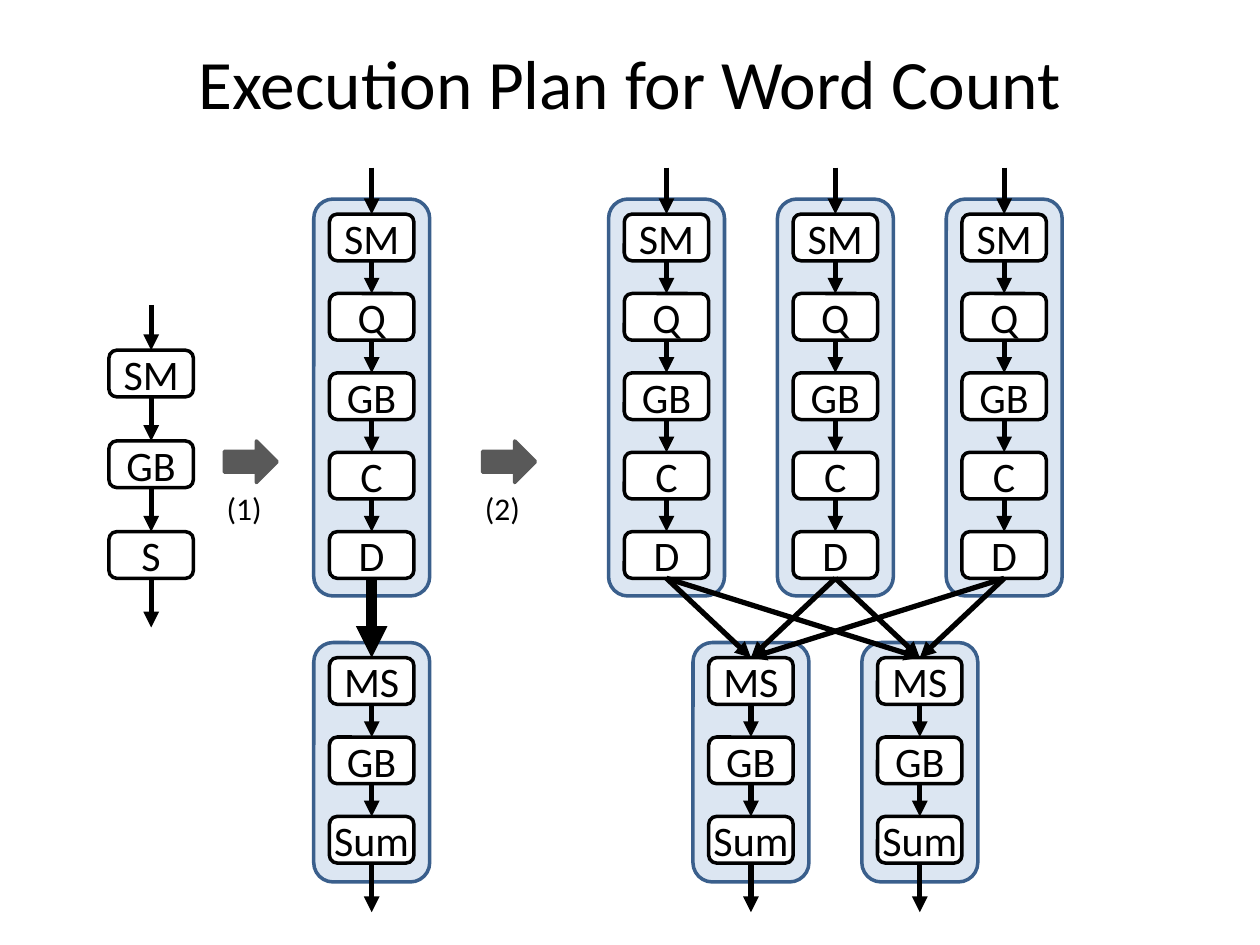
from lxml import etree
from pptx import Presentation
from pptx import util as u
from pptx.dml.color import RGBColor
from pptx.enum import shapes, text
from pptx.oxml.ns import qn

# Grid of the slide: 100 columns by 75 rows
COLUMNS, ROWS = 100, 75
BOX_WIDTH, BOX_HEIGHT = 6.7, 3.7
PANEL_WIDTH, PANEL_PADDING = 9.2, 1.2
MAP_TOP, REDUCE_TOP, PITCH = 17, 52.2, 6.3
MAP_STAGES = ["SM", "Q", "GB", "C", "D"]
REDUCE_STAGES = ["MS", "GB", "Sum"]


def color(value):
    return RGBColor.from_string(value)


class Diagram:
    """Holds the style, the presentation and the current slide."""

    font = {"name": "Calibri"}
    ink, white, panel_fill, panel_line, gray = (
        "000000", "FFFFFF", "DCE6F2", "3A5F8C", "595959")

    def __init__(self, width, height):
        self.presentation = Presentation()
        self.presentation.slide_width = u.Inches(width)
        self.presentation.slide_height = u.Inches(height)
        self.slide = self.presentation.slides.add_slide(
            self.presentation.slide_layouts[6])

    def x(self, columns):
        return round(self.presentation.slide_width * columns / COLUMNS)

    def y(self, rows):
        return round(self.presentation.slide_height * rows / ROWS)

    def area(self, left, top, width, height):
        return self.x(left), self.y(top), self.x(width), self.y(height)

    def add_words(self, shape, words, size, align, **frame_format):
        frame = shape.text_frame
        for name, value in frame_format.items():
            setattr(frame, name, value)
        paragraph = frame.paragraphs[0]
        paragraph.alignment = align
        run = paragraph.add_run()
        run.text = words
        for name, value in {**self.font, "size": u.Pt(size)}.items():
            setattr(run.font, name, value)
        run.font.color.rgb = color(self.ink)

    def label(self, words, area, size, align, **frame_format):
        shape = self.slide.shapes.add_textbox(*self.area(*area))
        self.add_words(shape, words, size, align, **frame_format)

    def block(self, kind, area, fill, line):
        shape = self.slide.shapes.add_shape(kind, *self.area(*area))
        shape.shadow.inherit = False
        shape.fill.solid()
        shape.fill.fore_color.rgb = color(fill)
        shape.line.color.rgb = color(line)
        shape.line.width = u.Pt(2)
        return shape

    def panel(self, center, top, height):
        area = (center - PANEL_WIDTH / 2, top, PANEL_WIDTH, height)
        self.block(shapes.MSO_SHAPE.ROUNDED_RECTANGLE, area,
                   self.panel_fill, self.panel_line)

    def stage(self, words, center, top):
        area = (center - BOX_WIDTH / 2, top, BOX_WIDTH, BOX_HEIGHT)
        shape = self.block(shapes.MSO_SHAPE.ROUNDED_RECTANGLE, area,
                           self.white, self.ink)
        self.add_words(shape, words, 24, text.PP_ALIGN.CENTER,
                       margin_left=0, margin_right=0, word_wrap=True,
                       vertical_anchor=text.MSO_ANCHOR.MIDDLE)

    def arrow(self, start, end, width=3):
        connector = self.slide.shapes.add_connector(
            shapes.MSO_CONNECTOR.STRAIGHT,
            self.x(start[0]), self.y(start[1]), self.x(end[0]), self.y(end[1]))
        connector.line.color.rgb = color(self.ink)
        connector.line.width = u.Pt(width)
        properties = connector._element.spPr
        head = etree.SubElement(properties.find(qn("a:ln")), qn("a:tailEnd"))
        head.set("type", "triangle")
        etree.SubElement(properties, qn("a:effectLst"))

    def chain(self, stages, center, top, pitch, lead_in=0, lead_out=0):
        """Stack stages, joined by arrows, with optional arrows in and out."""
        if lead_in:
            self.arrow((center, top - lead_in), (center, top))
        for index, words in enumerate(stages):
            stage_top = top + index * pitch
            self.stage(words, center, stage_top)
            if index:
                self.arrow((center, stage_top - pitch + BOX_HEIGHT),
                           (center, stage_top))
        if lead_out:
            bottom = top + (len(stages) - 1) * pitch + BOX_HEIGHT
            self.arrow((center, bottom), (center, bottom + lead_out))

    def map_column(self, center):
        self.panel(center, MAP_TOP - PANEL_PADDING, 31.5)
        self.chain(MAP_STAGES, center, MAP_TOP, PITCH, lead_in=3.7)

    def reduce_column(self, center):
        self.panel(center, REDUCE_TOP - PANEL_PADDING, 19)
        self.chain(REDUCE_STAGES, center, REDUCE_TOP, PITCH, lead_out=3.9)

    def shuffle(self, source, target, width=3):
        map_bottom = MAP_TOP + (len(MAP_STAGES) - 1) * PITCH + BOX_HEIGHT
        self.arrow((source, map_bottom), (target, REDUCE_TOP), width)

    def step(self, words, left):
        self.block(shapes.MSO_SHAPE.RIGHT_ARROW, (left, 35, 4.2, 3.3),
                   self.gray, self.gray)
        self.label(words, (left - 0.8, 38.3, 4.8, 4), 18, text.PP_ALIGN.LEFT,
                   word_wrap=False, auto_size=text.MSO_AUTO_SIZE.SHAPE_TO_FIT_TEXT)


def main():
    diagram = Diagram(10, 7.5)
    diagram.label("Execution Plan for Word Count", (5, 3, 90, 7), 39.6,
                  text.PP_ALIGN.CENTER, word_wrap=True,
                  vertical_anchor=text.MSO_ANCHOR.MIDDLE)

    # Logical plan
    diagram.chain(["SM", "GB", "S"], 12, 27.8, 7.2, lead_in=3.6, lead_out=3.9)
    diagram.step("(1)", 17.8)

    # Plan split into map and reduce
    single = 29.5
    diagram.map_column(single)
    diagram.reduce_column(single)
    diagram.shuffle(single, single, width=6)
    diagram.step("(2)", 38.3)

    # Parallel plan: three map columns, two reduce columns halfway between them
    map_centers = [52.9 + 13.4 * index for index in range(3)]
    reduce_centers = [(left + right) / 2
                      for left, right in zip(map_centers, map_centers[1:])]
    for center in map_centers:
        diagram.map_column(center)
    for center in reduce_centers:
        diagram.reduce_column(center)
    for source in map_centers:
        for target in reduce_centers:
            diagram.shuffle(source, target)

    diagram.presentation.save("out.pptx")


if __name__ == "__main__":
    main()
